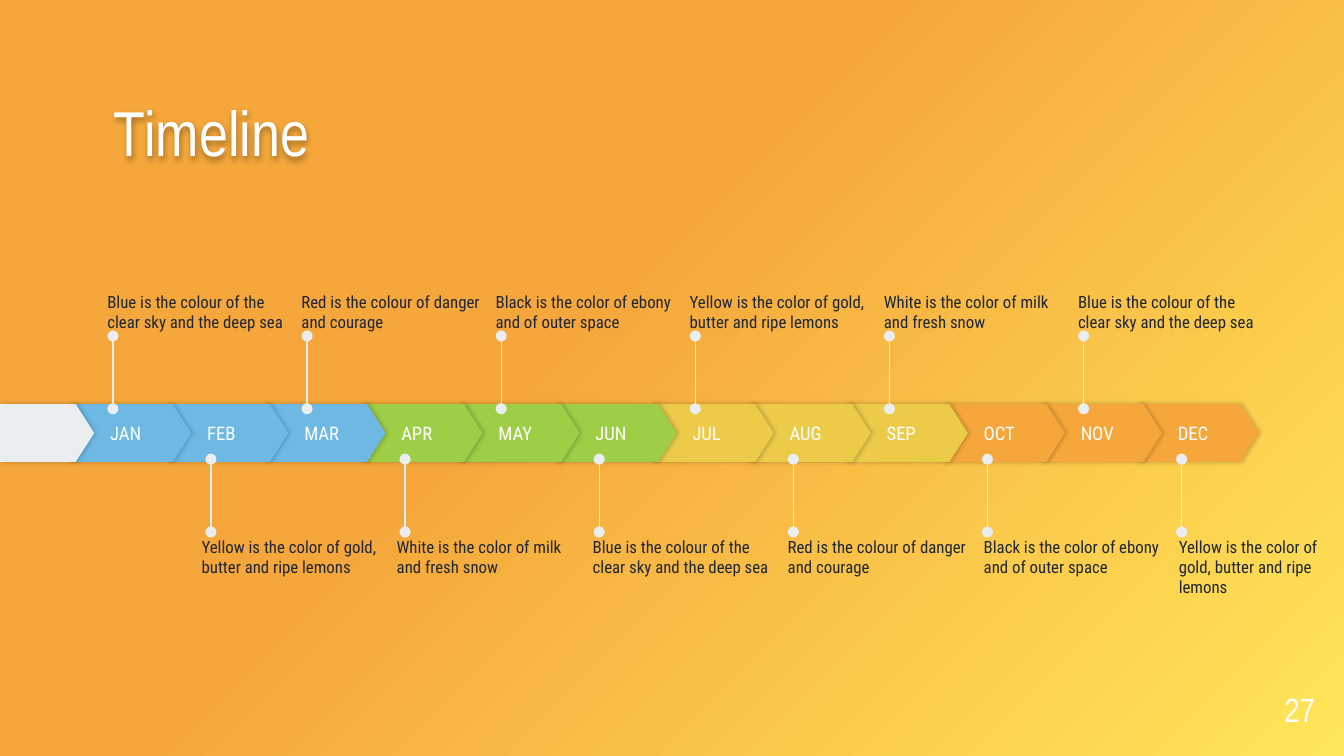
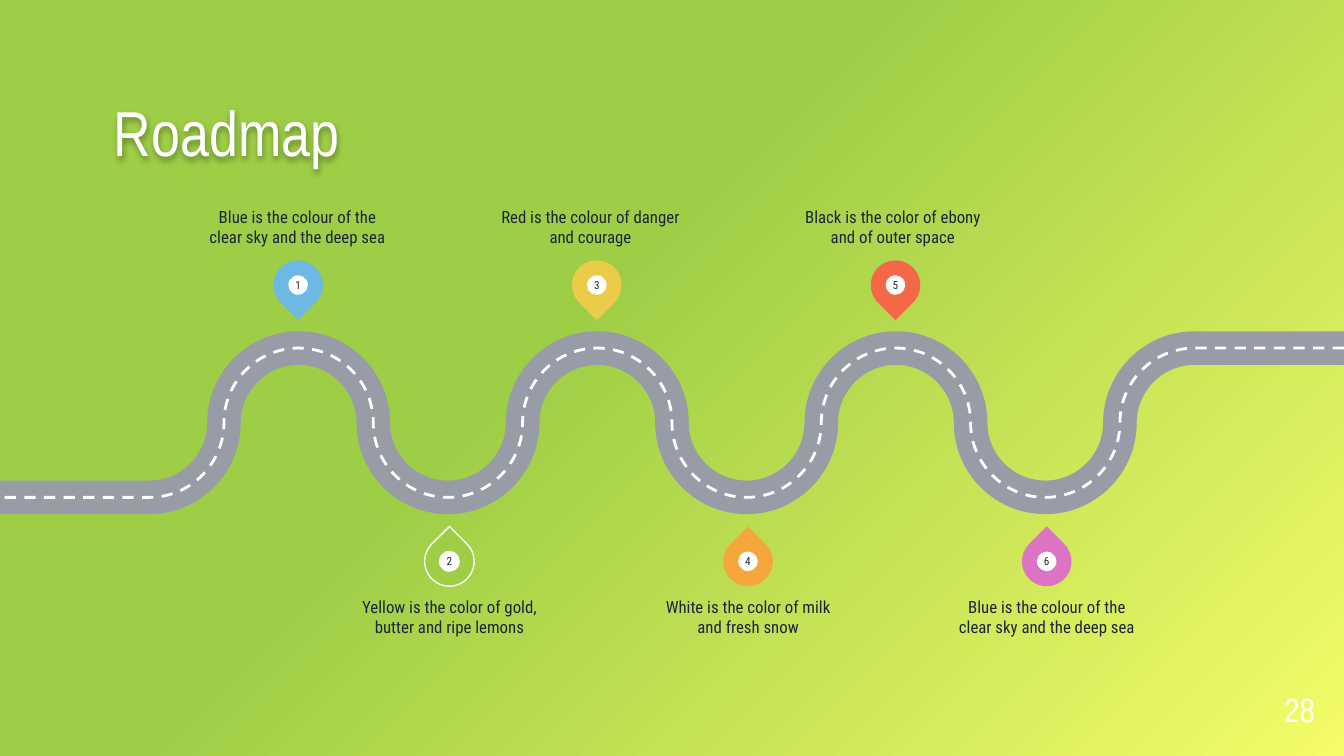
from lxml import etree
from pptx import Presentation
from pptx.dml.color import RGBColor
from pptx.enum.dml import MSO_LINE
from pptx.enum.shapes import MSO_CONNECTOR, MSO_SHAPE
from pptx.enum.text import MSO_ANCHOR, MSO_AUTO_SIZE, PP_ALIGN
from pptx.oxml import parse_xml
from pptx.oxml.ns import nsdecls, qn
from pptx.util import Emu, Pt

PX = 6350  # EMU in one px, 144 px to the inch

WHITE = RGBColor(0xFF, 0xFF, 0xFF)
BLACK = RGBColor(0x00, 0x00, 0x00)
INK = RGBColor(0x1E, 0x26, 0x3A)
MIST = RGBColor(0xEA, 0xEE, 0xF0)
ASPHALT = RGBColor(0x98, 0x9C, 0xA7)
BLUE = RGBColor(0x6D, 0xB9, 0xE4)
GREEN = RGBColor(0x9E, 0xCE, 0x46)
GOLD = RGBColor(0xEC, 0xCB, 0x49)
ORANGE = RGBColor(0xF5, 0xA7, 0x3B)
RED = RGBColor(0xF3, 0x68, 0x46)
PINK = RGBColor(0xDD, 0x73, 0xC3)
LEMON = RGBColor(0xFF, 0xE6, 0x59)
LIME = RGBColor(0xF4, 0xFC, 0x68)

HEAD_FONT = "Arial Narrow"
BODY_FONT = "Roboto Condensed"

SKY = "Blue is the colour of the clear sky and the deep sea"
DANGER = "Red is the colour of danger and courage"
EBONY = "Black is the color of ebony and of outer space"
LEMONS = "Yellow is the color of gold, butter and ripe lemons"
MILK = "White is the color of milk and fresh snow"


def px(*lengths):
    return [Emu(length * PX) for length in lengths]


def add_shadow(shape, alpha, blur, distance, degrees):
    """Give a shape a black outer shadow; blur and distance are points."""
    shape.shadow.inherit = False
    effects = shape.element.spPr.find(qn("a:effectLst"))
    effects.append(parse_xml(
        f'<a:outerShdw {nsdecls("a")} blurRad="{Pt(blur)}" dist="{Pt(distance)}" '
        f'dir="{degrees * 60000}" algn="bl" rotWithShape="0"><a:srgbClr val="{BLACK}">'
        f'<a:alpha val="{alpha * 1000}"/></a:srgbClr></a:outerShdw>'))


class Pages:
    def __init__(self):
        self.deck = Presentation()
        self.deck.slide_width, self.deck.slide_height = px(1440, 810)
        self.page = None

    def start(self, title, number, corner, field):
        """Open a page whose background runs from the corner colour to the field colour."""
        self.page = self.deck.slides.add_slide(self.deck.slide_layouts[5])
        self.background(corner, field)
        box = self.page.shapes.title
        box.left, box.top, box.width, box.height = px(122, 120, 1195, 62)
        self.fill_text(box, title, 34, WHITE, HEAD_FONT, anchor=MSO_ANCHOR.BOTTOM, spacing=0.9)
        add_shadow(box, 35, 3, 1.5, 90)
        self.text(number, (1323, 732, 86, 50), 18, WHITE, HEAD_FONT,
                  align=PP_ALIGN.RIGHT, anchor=MSO_ANCHOR.BOTTOM, spacing=0.9)

    def background(self, corner, field):
        self.page.background.fill.gradient()
        gradient = self.page.element.find(".//" + qn("a:gradFill"))
        stops = "".join(
            f'<a:gs pos="{position * 1000}"><a:srgbClr val="{color}"/></a:gs>'
            for position, color in ((0, corner), (58, field), (100, field)))
        gradient.getparent().replace(gradient, parse_xml(
            f'<a:gradFill {nsdecls("a")} rotWithShape="1"><a:gsLst>{stops}</a:gsLst>'
            '<a:path path="circle"><a:fillToRect l="100000" t="100000"/></a:path></a:gradFill>'))

    def fill_text(self, shape, text, size, color, font=BODY_FONT, align=PP_ALIGN.LEFT,
                  anchor=MSO_ANCHOR.TOP, spacing=None, indent=0):
        frame = shape.text_frame
        frame.text = text
        frame.word_wrap = True
        frame.auto_size = MSO_AUTO_SIZE.NONE
        frame.vertical_anchor = anchor
        frame.margin_left, frame.margin_top, frame.margin_right, frame.margin_bottom = px(
            indent, 0, 0, 0)
        para = frame.paragraphs[0]
        para.alignment = align
        para.line_spacing = spacing
        span = para.runs[0]
        span.font.name = font
        span.font.size = Pt(size)
        span.font.color.rgb = color

    def text(self, text, place, size=9, color=INK, font=BODY_FONT, **style):
        box = self.page.shapes.add_textbox(*px(*place))
        self.fill_text(box, text, size, color, font, **style)

    def shape(self, kind, place, fill, line=None, parent=None):
        shape = (parent or self.page).shapes.add_shape(kind, *px(*place))
        shape.shadow.inherit = False
        shape.fill.solid()
        shape.fill.fore_color.rgb = fill
        if line is None:
            shape.line.fill.background()
        else:
            shape.line.color.rgb = line
            shape.line.width = Pt(0.75)
        return shape

    def chevron(self, left, width, fill, label=None):
        shape = self.shape(MSO_SHAPE.PENTAGON, (left, 433, width, 62), fill)
        shape.adjustments[0] = 0.32
        add_shadow(shape, 20, 2.2, 0.8, 0)
        if label:
            self.fill_text(shape, label, 10, WHITE, anchor=MSO_ANCHOR.MIDDLE, indent=43)

    def stem(self, x, start, end):
        """Draw an upright line with a dot at each end."""
        stem = self.page.shapes.add_connector(MSO_CONNECTOR.STRAIGHT, *px(x, start, x, end))
        stem.line.color.rgb = MIST
        stem.line.width = Pt(0.75)
        line = stem.element.spPr.find(qn("a:ln"))
        for tip in ("a:headEnd", "a:tailEnd"):
            etree.SubElement(line, qn(tip), type="oval")
        etree.SubElement(stem.element.spPr, qn("a:effectLst"))

    def pin(self, left, top, rotation, label, fill, line=None):
        group = self.page.shapes.add_group_shape()
        drop = self.shape(MSO_SHAPE.TEAR, (left, top, 53, 53), fill, line, group)
        drop.rotation = rotation
        dot = self.shape(MSO_SHAPE.OVAL, (left + 16, top + 16, 21, 21), WHITE, line, group)
        self.fill_text(dot, label, 6, INK, align=PP_ALIGN.CENTER, anchor=MSO_ANCHOR.MIDDLE)

    def curve(self, points, color, width, dash=None):
        """Draw straight ends joined by Bezier curves, three points to a curve."""
        builder = self.page.shapes.build_freeform(*points[0], scale=PX)
        builder.add_line_segments(points[1:], close=False)
        curve = builder.convert_to_shape()
        curve.shadow.inherit = False
        curve.fill.background()
        curve.line.color.rgb = color
        curve.line.width = Pt(width)
        if dash:
            curve.line.dash_style = dash
        inner = curve.element.findall(".//" + qn("a:lnTo"))[1:-1]
        for first in range(0, len(inner), 3):
            bezier = etree.Element(qn("a:cubicBezTo"))
            inner[first].addprevious(bezier)
            for segment in inner[first:first + 3]:
                bezier.append(segment[0])
                segment.getparent().remove(segment)


def road_points():
    """List the road from right to left: seven half waves between two straight ends."""
    upper, middle, lower = 373, 453, 533
    points = [(1440, upper), (1280, upper)]
    for bend in range(7):
        x = 1280 - 160 * bend
        begin, end, handle = (upper, lower, 44) if bend % 2 == 0 else (lower, upper, -44)
        points += [(x - 44, begin), (x - 80, middle - handle), (x - 80, middle),
                   (x - 80, middle + handle), (x - 116, end), (x - 160, end)]
    return points + [(0, lower)]


def timeline(pages):
    pages.start("Timeline", "27", LEMON, ORANGE)
    months = ("JAN", "FEB", "MAR", "APR", "MAY", "JUN",
              "JUL", "AUG", "SEP", "OCT", "NOV", "DEC")
    quarters = (BLUE, GREEN, GOLD, ORANGE)
    for index in reversed(range(12)):
        pages.chevron(75 + 104 * index, 130, quarters[index // 3], months[index])
    pages.chevron(0, 101, MIST)

    for index, text in enumerate((SKY, DANGER, EBONY, LEMONS, MILK, SKY)):
        pages.stem(121 + 208 * index, 438, 360)
        pages.text(text, (115 + 208 * index, 272, 197, 84), anchor=MSO_ANCHOR.BOTTOM)
    for index, text in enumerate((LEMONS, MILK, SKY, DANGER, EBONY, LEMONS)):
        pages.stem(226 + 208 * index, 570, 492)
        width = 163 if index == 5 else 197
        pages.text(text, (216 + 419 * index // 2, 575, width, 84))


def roadmap(pages):
    pages.start("Roadmap", "28", LIME, GREEN)
    road = road_points()
    pages.curve(road, ASPHALT, 18)
    pages.curve(road, WHITE, 1.5, MSO_LINE.DASH)

    above = ((BLUE, 217, SKY), (GOLD, 531, DANGER), (RED, 855, EBONY))
    for index, (fill, left, text) in enumerate(above):
        pages.pin(293 + 320 * index, 279, 135, str(2 * index + 1), fill)
        pages.text(text, (left, 181, 203, 84), align=PP_ALIGN.CENTER,
                   anchor=MSO_ANCHOR.BOTTOM)
    below = ((GREEN, WHITE, LEMONS), (ORANGE, None, MILK), (PINK, None, SKY))
    for index, (fill, line, text) in enumerate(below):
        pages.pin(455 + 320 * index, 575, 315, str(2 * index + 2), fill, line)
        pages.text(text, (380 + 320 * index, 639, 203, 84), align=PP_ALIGN.CENTER)


def main():
    pages = Pages()
    timeline(pages)
    roadmap(pages)
    pages.deck.save("out.pptx")


if __name__ == "__main__":
    main()
